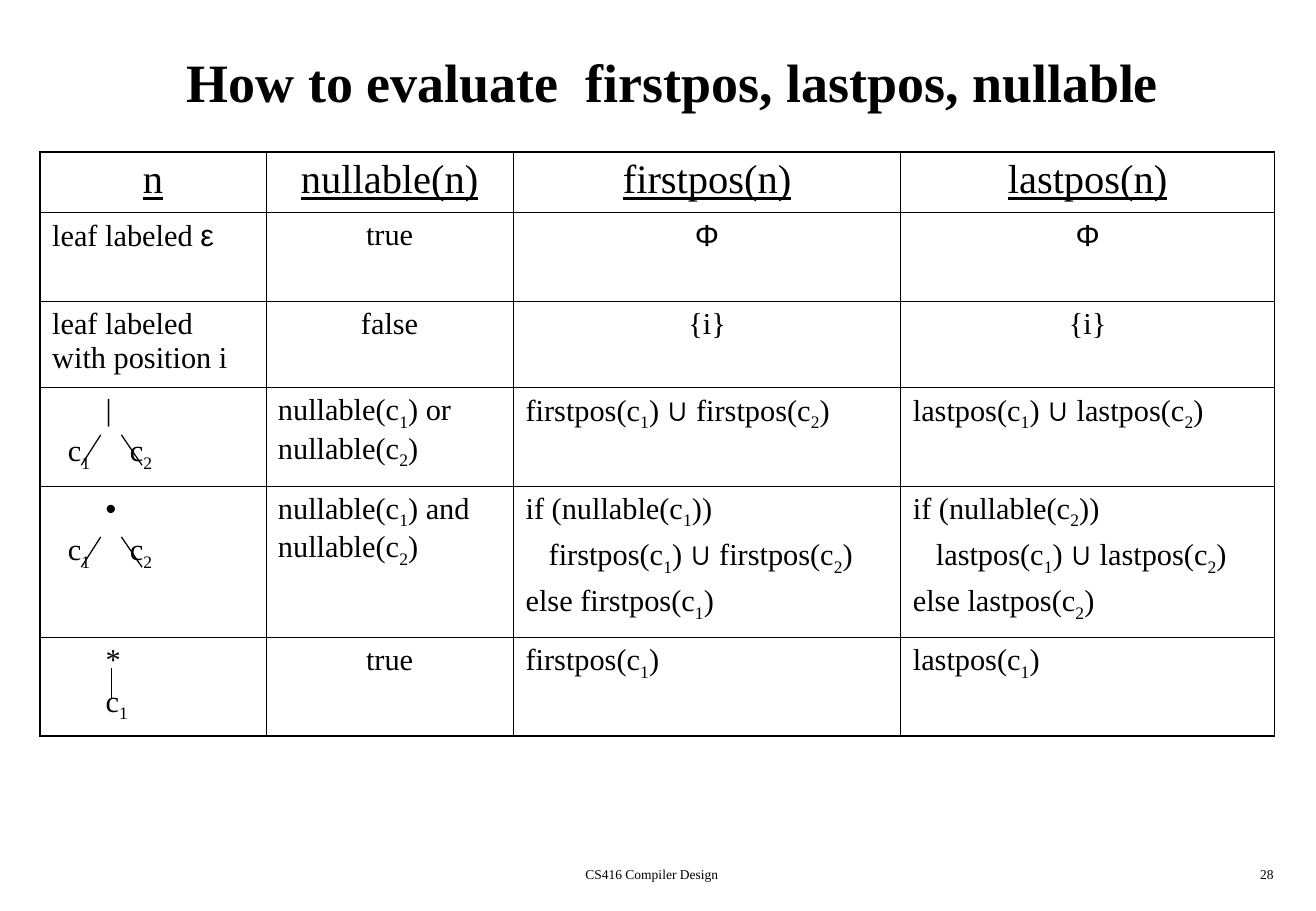
from dataclasses import dataclass
from itertools import groupby

from lxml.etree import SubElement
from pptx import Presentation
from pptx.dml.color import RGBColor
from pptx.enum.shapes import MSO_CONNECTOR as Connector
from pptx.enum.text import MSO_ANCHOR as Anchor, PP_ALIGN as Align
from pptx.oxml.ns import qn
from pptx.util import Inches, Pt

BLACK = RGBColor(0x00, 0x00, 0x00)
WHITE = RGBColor(0xFF, 0xFF, 0xFF)
SERIF, SANS = "Times New Roman", "Arial"
SUBSCRIPTS = {"₁": "1", "₂": "2"}
SANS_SYMBOLS = "εΦ∪•"
OUTER_BORDER, INNER_BORDER = 1.08, 0.45


@dataclass
class Line:
    """One paragraph of a cell; indent and tab stops are in inches."""
    text: str
    indent: float = 0
    stops: tuple = ()


CHILDREN = Line("\tc₁\tc₂", stops=(0.13, 0.64))
OPERATOR_INDENT, BRANCH_INDENT = 0.44, 0.19
COLUMN_WIDTHS = (1.86, 2.04, 3.19, 3.08)
ROW_HEIGHTS = (0.5, 0.73, 0.71, 0.81, 1.25, 0.81)
CENTERED = ("true", "false", "Φ", "{i}")


def either(name):
    return f"{name}(c₁) ∪ {name}(c₂)"


def conditional(name, child):
    return [
        Line(f"if (nullable({child}))"),
        Line(either(name), BRANCH_INDENT),
        Line(f"else {name}({child})"),
    ]


def operator(symbol, children):
    return [Line(symbol, OPERATOR_INDENT), children]


RULES = [
    ["n", "nullable(n)", "firstpos(n)", "lastpos(n)"],
    ["leaf labeled ε", "true", "Φ", "Φ"],
    ["leaf labeled with position i", "false", "{i}", "{i}"],
    [operator("|", CHILDREN), "nullable(c₁) or nullable(c₂)",
     either("firstpos"), either("lastpos")],
    [operator("•", CHILDREN), "nullable(c₁) and nullable(c₂)",
     conditional("firstpos", "c₁"), conditional("lastpos", "c₂")],
    [operator("*", Line("c₁", OPERATOR_INDENT)), "true",
     "firstpos(c₁)", "lastpos(c₁)"],
]


def character_style(character):
    return character in SUBSCRIPTS, character in SANS_SYMBOLS


def add_runs(paragraph, text, size, **font_format):
    """Split text into runs, lowering subscripts and setting symbols in sans."""
    for (is_subscript, is_symbol), characters in groupby(text, character_style):
        run = paragraph.add_run()
        run.text = "".join(SUBSCRIPTS.get(c, c) for c in characters)
        values = {"name": SANS if is_symbol else SERIF, "size": Pt(size), **font_format}
        for name, value in values.items():
            setattr(run.font, name, value)
        run.font.color.rgb = BLACK
        if is_subscript:
            run._r.get_or_add_rPr().set("baseline", "-25000")


def set_layout(paragraph, line):
    properties = paragraph._p.get_or_add_pPr()
    if line.indent:
        properties.set("marL", str(Inches(line.indent)))
        properties.set("indent", "0")
    if line.stops:
        tab_list = SubElement(properties, qn("a:tabLst"))
        for stop in line.stops:
            SubElement(tab_list, qn("a:tab"), pos=str(Inches(stop)), algn="l")


def add_text(slide, text, box, size, align, anchor=Anchor.TOP, **font_format):
    frame = slide.shapes.add_textbox(*map(Inches, box)).text_frame
    frame.word_wrap = True
    frame.vertical_anchor = anchor
    frame.paragraphs[0].alignment = align
    add_runs(frame.paragraphs[0], text, size, **font_format)


def set_borders(cell, row, column):
    outer_sides = {
        "a:lnL": column == 0,
        "a:lnR": column == len(COLUMN_WIDTHS) - 1,
        "a:lnT": row == 0,
        "a:lnB": row == len(ROW_HEIGHTS) - 1,
    }
    properties = cell._tc.get_or_add_tcPr()
    for side, is_outer in outer_sides.items():
        width = Pt(OUTER_BORDER if is_outer else INNER_BORDER)
        border = SubElement(properties, qn(side), w=str(width))
        fill = SubElement(border, qn("a:solidFill"))
        SubElement(fill, qn("a:srgbClr"), val=str(BLACK))


def fill_cell(cell, content, is_header):
    lines = [Line(content)] if isinstance(content, str) else content
    is_centered = is_header or content in CENTERED
    for index, line in enumerate(lines):
        frame = cell.text_frame
        paragraph = frame.add_paragraph() if index else frame.paragraphs[0]
        set_layout(paragraph, line)
        paragraph.alignment = Align.CENTER if is_centered else Align.LEFT
        if index:
            paragraph.space_before = Pt(4.5)
        add_runs(paragraph, line.text, 24 if is_header else 18, underline=is_header)


def add_rules_table(slide):
    frame = slide.shapes.add_table(
        len(ROW_HEIGHTS), len(COLUMN_WIDTHS), Inches(0.33), Inches(1.25),
        Inches(sum(COLUMN_WIDTHS)), Inches(sum(ROW_HEIGHTS)))
    table = frame.table
    table.first_row = table.horz_banding = False
    for column, width in zip(table.columns, COLUMN_WIDTHS):
        column.width = Inches(width)
    for row, height in zip(table.rows, ROW_HEIGHTS):
        row.height = Inches(height)
    for row, contents in enumerate(RULES):
        for column, content in enumerate(contents):
            cell = table.cell(row, column)
            set_borders(cell, row, column)
            cell.fill.solid()
            cell.fill.fore_color.rgb = WHITE
            fill_cell(cell, content, row == 0)


def add_branch(slide, start_x, end_x, top):
    branch = slide.shapes.add_connector(
        Connector.STRAIGHT, Inches(start_x), Inches(top),
        Inches(end_x), Inches(top + 0.25))
    branch.line.color.rgb = BLACK
    branch.line.width = Pt(0.75)
    SubElement(branch._element.spPr, qn("a:effectLst"))


def main():
    presentation = Presentation()
    presentation.slide_width = Inches(10.84)
    presentation.slide_height = Inches(7.5)
    slide = presentation.slides.add_slide(presentation.slide_layouts[6])

    add_text(slide, "How to evaluate  firstpos, lastpos, nullable",
             (0.42, 0.17, 10.25, 1), 32, Align.CENTER, Anchor.MIDDLE, bold=True)
    add_rules_table(slide)
    for top in (3.58, 4.42):
        add_branch(slide, 0.83, 0.67, top)
        add_branch(slide, 1, 1.17, top)
    add_branch(slide, 0.92, 0.92, 5.5)
    add_text(slide, "CS416 Compiler Design", (3.34, 7.08, 4.06, 0.25), 8, Align.CENTER)
    add_text(slide, "28", (8.33, 7.08, 2.26, 0.25), 8, Align.RIGHT)

    presentation.save("out.pptx")


if __name__ == "__main__":
    main()
